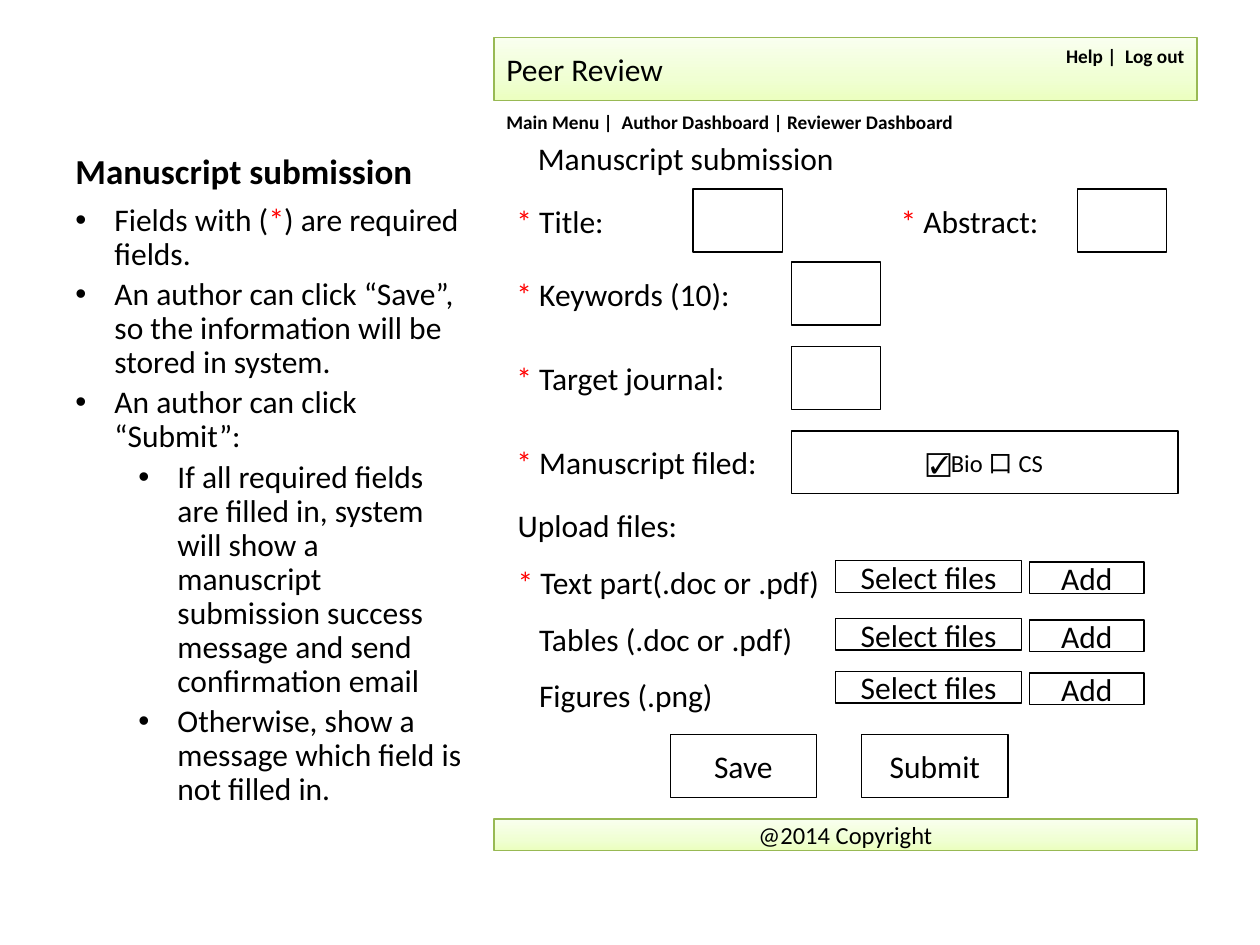
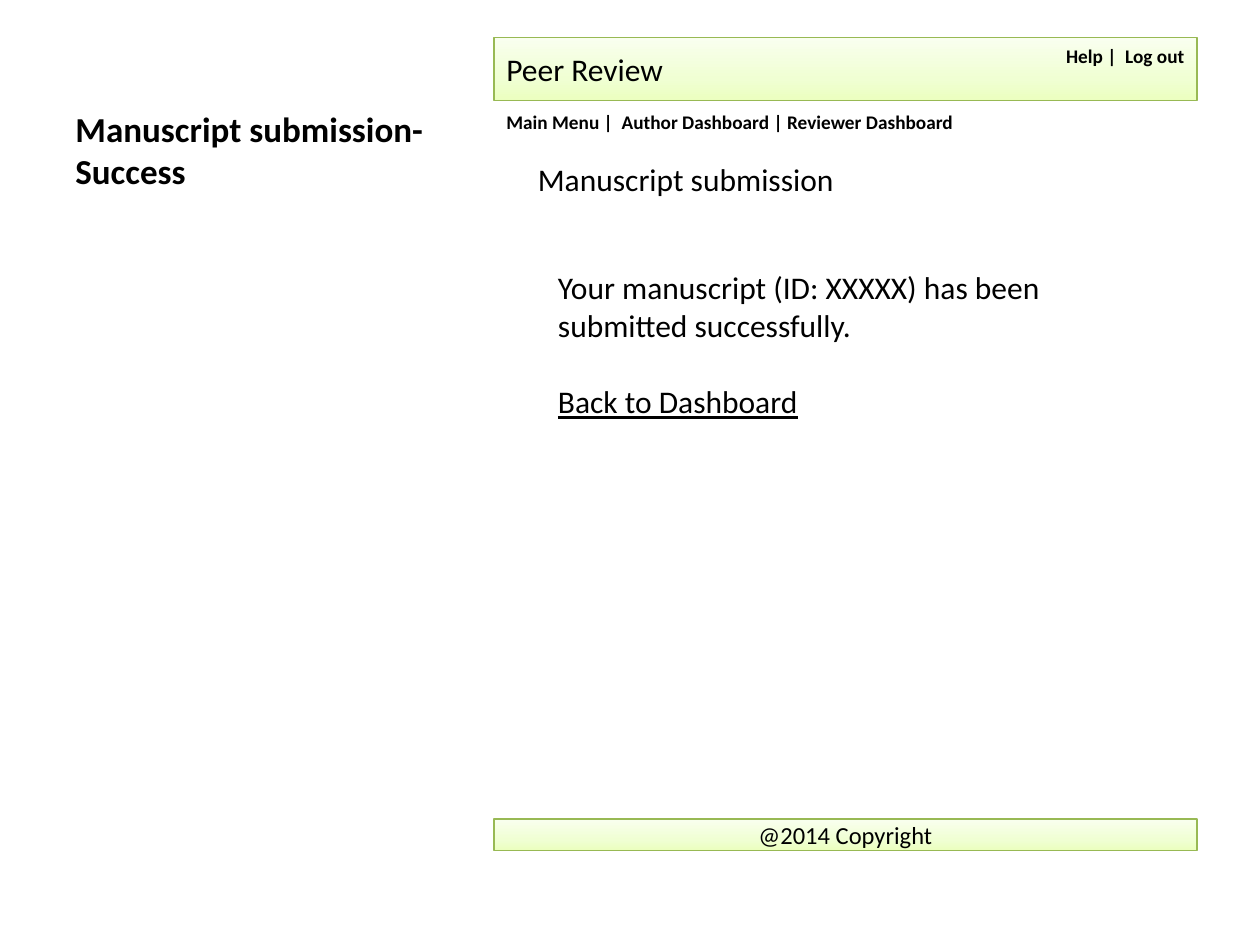
from copy import deepcopy
from dataclasses import dataclass
from typing import Optional

from lxml import etree
from pptx import Presentation
from pptx.dml.color import RGBColor
from pptx.enum import shapes, text
from pptx.oxml import ns
from pptx.util import Inches, Pt


@dataclass(frozen=True)
class Theme:
    font: str = "Calibri"
    black: str = "000000"
    required: str = "FF0000"
    band_line: str = "98B954"
    band_stops: tuple = ((0, "EBFFBF"), (0.35, "F0FFD3"), (1, "F9FFEF"))
    title: float = 20
    body: float = 18
    note: float = 14
    menu: float = 11
    line: float = 0.75


THEME = Theme()
LEFT, CENTER, RIGHT = text.PP_ALIGN.LEFT, text.PP_ALIGN.CENTER, text.PP_ALIGN.RIGHT
TOP, MIDDLE, BOTTOM = text.MSO_ANCHOR.TOP, text.MSO_ANCHOR.MIDDLE, text.MSO_ANCHOR.BOTTOM


@dataclass(frozen=True)
class Box:
    left: float
    top: float
    width: float
    height: float

    def lengths(self) -> list:
        return [Inches(n) for n in (self.left, self.top, self.width, self.height)]


@dataclass(frozen=True)
class Run:
    words: str
    color: str = THEME.black
    size: float = THEME.body
    bold: bool = False
    underline: bool = False


@dataclass(frozen=True)
class Para:
    runs: tuple
    align: int = LEFT
    spacing: Optional[float] = None
    before: float = 0
    margin: float = 0
    bullet: bool = False


@dataclass(frozen=True)
class Field:
    label: str
    label_box: Box
    input_box: Box
    choices: str = ""


PANEL_LEFT, PANEL_WIDTH = 3.92, 5.58
HEADER = Box(PANEL_LEFT, 0.3, PANEL_WIDTH, 0.5)
FOOTER = Box(PANEL_LEFT, 6.5, PANEL_WIDTH, 0.25)
MENU = Box(PANEL_LEFT, 0.86, PANEL_WIDTH, 0.22)
ACCOUNT = Box(8.33, 0.33, 1.17, 0.22)
SLIDE_TITLE = Box(0.5, 0.3, 3.29, 1.27)
NOTES = Box(0.5, 1.57, 3.29, 5.13)
HANGING = 0.31
ROW_HEIGHT, INPUT_WIDTH = 0.5, 0.71
STAR = Run("* ", THEME.required)


def field(label: str, left: float, top: float, label_width: float,
          input_left: float, input_width: float = INPUT_WIDTH, choices: str = "") -> Field:
    return Field(label, Box(left, top, label_width, ROW_HEIGHT),
                 Box(input_left, top, input_width, ROW_HEIGHT), choices)


FIELDS = (
    field("Title:", 4, 1.5, 1.25, 5.5),
    field("Abstract:", 7.05, 1.5, 1.5, 8.55),
    field("Keywords (10):", 4, 2.08, 2.09, 6.28),
    field("Target journal:", 4, 2.75, 2.09, 6.28),
    field("Manuscript filed:", 4, 3.42, 2.71, 6.28, 3.07, "☑Bio 口 CS"),
)
UPLOADS = (
    Para((STAR, Run("Text part(.doc or .pdf)")), spacing=1.5),
    Para((Run("Tables (.doc or .pdf)"),), spacing=1.5, margin=0.17),
    Para((Run("Figures (.png)"),), spacing=1.5, margin=0.17),
)
UPLOAD_TOPS = (4.45, 4.91, 5.33)


def note(*runs: Run, level: int = 0, before: float = 3.6) -> Para:
    return Para(runs, spacing=0.9, before=before,
                margin=HANGING + 0.5 * level, bullet=True)


SUBMISSION_NOTES = (
    note(Run("Fields with ("), Run("*", THEME.required),
         Run(") are required fields."), before=0),
    note(Run("An author can click “Save”, so the information will be stored in system.")),
    note(Run("An author can click “Submit”:")),
    note(Run("If all required fields are filled in, system will show a manuscript "
             "submission success message and send confirmation email"), level=1),
    note(Run("Otherwise, show a message which field is not filled in."), level=1),
)


def add_bullet(paragraph) -> None:
    properties = paragraph._p.get_or_add_pPr()
    properties.set("indent", str(-Inches(HANGING)))
    color = etree.SubElement(properties, ns.qn("a:buClr"))
    etree.SubElement(color, ns.qn("a:srgbClr"), val=THEME.black)
    etree.SubElement(properties, ns.qn("a:buFont"), typeface="Arial")
    etree.SubElement(properties, ns.qn("a:buChar"), char="•")


def add_run(paragraph, run: Run) -> None:
    for index, line in enumerate(run.words.split("\n")):
        if index:
            paragraph.add_line_break()
        piece = paragraph.add_run()
        piece.text = line
        font = piece.font
        font.name, font.size = THEME.font, Pt(run.size)
        font.color.rgb = RGBColor.from_string(run.color)
        font.bold, font.underline = run.bold, run.underline


def write(shape, paras: tuple, anchor: int = MIDDLE) -> None:
    frame = shape.text_frame
    frame.word_wrap = True
    frame.vertical_anchor = anchor
    for index, para in enumerate(paras):
        paragraph = frame.add_paragraph() if index else frame.paragraphs[0]
        paragraph.alignment = para.align
        paragraph.line_spacing = para.spacing
        paragraph.space_before = Pt(para.before)
        if para.margin:
            paragraph._p.get_or_add_pPr().set("marL", str(Inches(para.margin)))
        if para.bullet:
            add_bullet(paragraph)
        for run in para.runs:
            add_run(paragraph, run)


def add_text(slide, box: Box, *paras: Para, anchor: int = MIDDLE) -> None:
    write(slide.shapes.add_textbox(*box.lengths()), paras, anchor)


def add_box(slide, box: Box, *paras: Para, line: str = THEME.black):
    shape = slide.shapes.add_shape(shapes.MSO_SHAPE.RECTANGLE, *box.lengths())
    shape.shadow.inherit = False
    shape.fill.background()
    shape.line.color.rgb = RGBColor.from_string(line)
    shape.line.width = Pt(THEME.line)
    write(shape, paras)
    return shape


def add_button(slide, box: Box, label: str, size: float = THEME.body) -> None:
    add_box(slide, box, Para((Run(label, size=size),), CENTER))


def add_band(slide, box: Box, para: Para) -> None:
    """Add a green band that grows lighter towards its top edge."""
    band = add_box(slide, box, para, line=THEME.band_line)
    band.fill.gradient()
    band.fill.gradient_angle = 90
    stop_list = band._element.spPr.find(ns.qn("a:gradFill")).find(ns.qn("a:gsLst"))
    stop_list.append(deepcopy(stop_list[0]))
    for stop, (position, color) in zip(band.fill.gradient_stops, THEME.band_stops):
        stop.position = position
        stop.color.rgb = RGBColor.from_string(color)


def add_page(presentation, title: str, heading_top: float):
    """Add a slide with its title and the frame of the web page."""
    slide = presentation.slides.add_slide(presentation.slide_layouts[6])
    add_text(slide, SLIDE_TITLE, Para((Run(title, size=THEME.title, bold=True),)),
             anchor=BOTTOM)
    add_band(slide, HEADER, Para((Run("Peer Review"),)))
    add_band(slide, FOOTER, Para((Run("@2014 Copyright", size=THEME.note),), CENTER))
    add_text(slide, Box(4.17, heading_top, 2.59, 0.5),
             Para((Run("Manuscript submission"),)))
    for box, words, align in (
        (ACCOUNT, "Help |  Log out", RIGHT),
        (MENU, "Main Menu |  Author Dashboard | Reviewer Dashboard", LEFT),
    ):
        add_text(slide, box, Para((Run(words, size=THEME.menu, bold=True),), align))
    return slide


def add_submission_slide(presentation) -> None:
    slide = add_page(presentation, "Manuscript submission", 1)
    add_text(slide, NOTES, *SUBMISSION_NOTES, anchor=TOP)
    for item in FIELDS:
        add_text(slide, item.label_box, Para((STAR, Run(item.label))))
        if item.choices:
            add_button(slide, item.input_box, item.choices, THEME.note)
        else:
            add_box(slide, item.input_box)
    add_text(slide, Box(4.01, 3.97, 3.49, 1.8), Para((Run("Upload files:"),)), *UPLOADS,
             anchor=TOP)
    for top in UPLOAD_TOPS:
        add_button(slide, Box(6.63, top, 1.48, 0.25), "Select files")
        add_button(slide, Box(8.17, top + 0.01, 0.91, 0.25), "Add")
    for left, label in ((5.32, "Save"), (6.84, "Submit")):
        add_button(slide, Box(left, 5.83, 1.16, ROW_HEIGHT), label)


def add_success_slide(presentation) -> None:
    slide = add_page(presentation, "Manuscript submission-\nSuccess", 1.17)
    add_text(
        slide, Box(4.33, 2.08, 4.75, 1.92),
        Para((Run("Your manuscript (ID: XXXXX) has been submitted successfully."),)),
        Para((Run("Back to Dashboard", underline=True),), before=22),
        anchor=TOP,
    )


def main() -> None:
    presentation = Presentation()
    presentation.slide_width, presentation.slide_height = Inches(10), Inches(7.5)
    add_submission_slide(presentation)
    add_success_slide(presentation)
    presentation.save("out.pptx")


if __name__ == "__main__":
    main()
